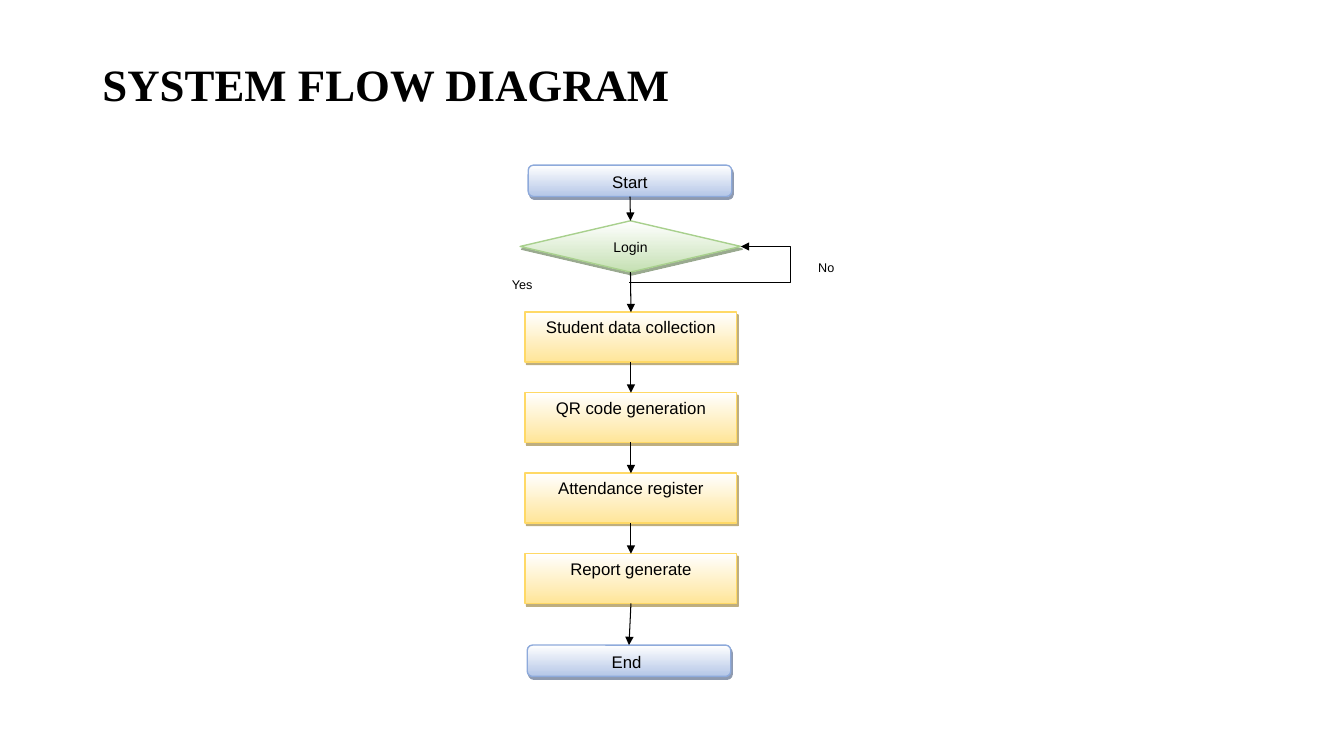
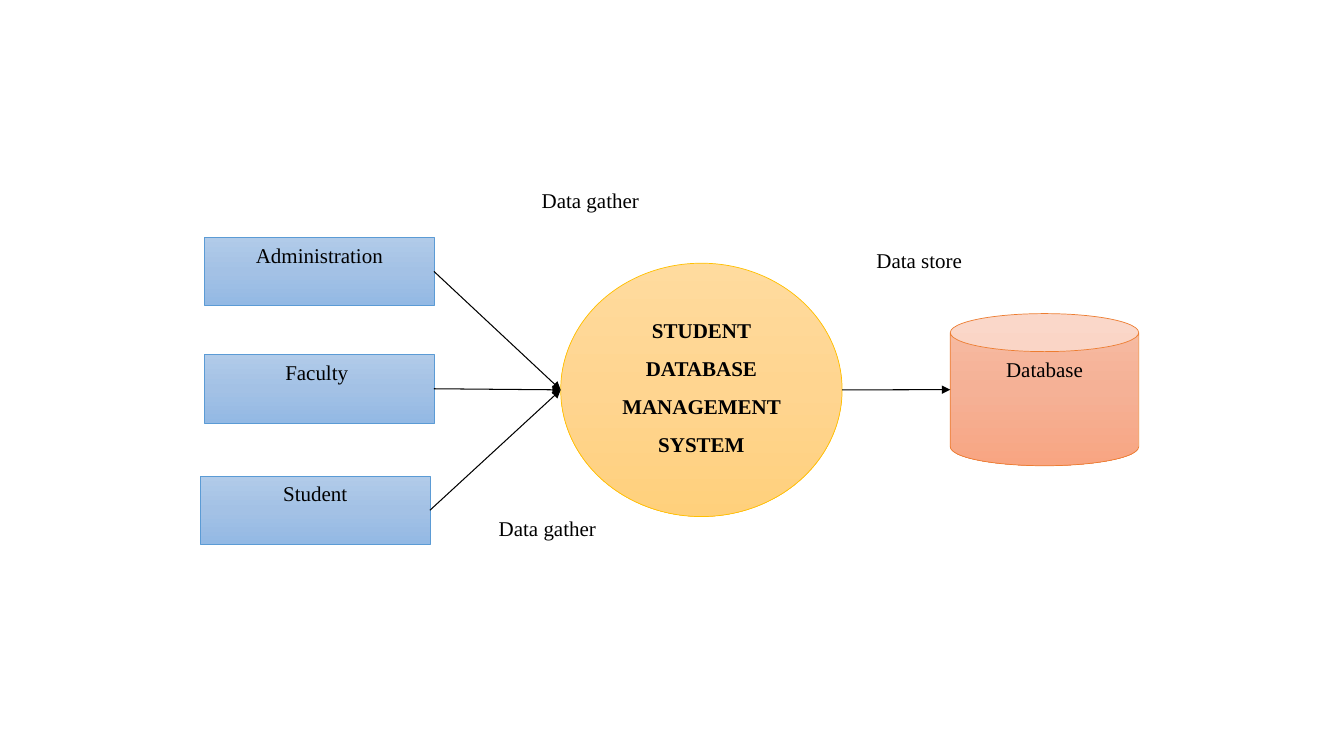
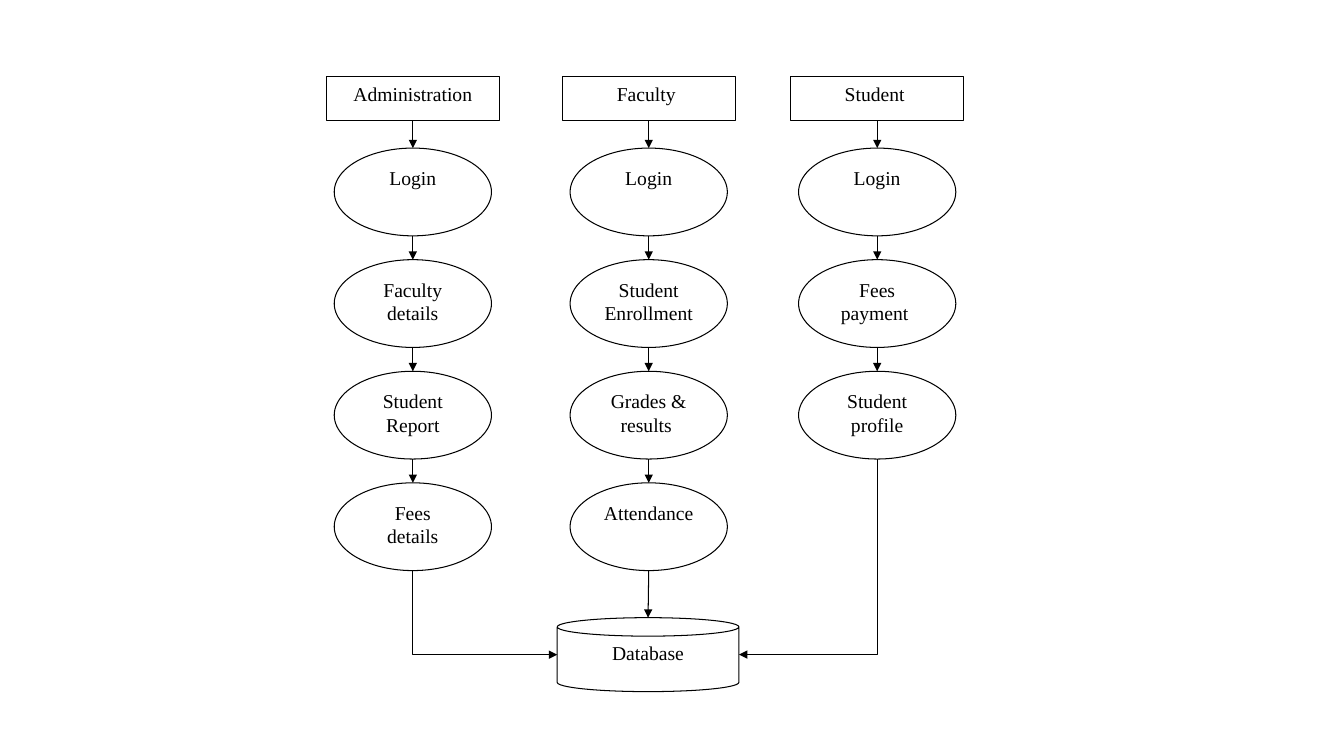
from copy import deepcopy
from dataclasses import dataclass

from lxml import etree
from pptx import Presentation
from pptx.dml.color import RGBColor
from pptx.enum.shapes import MSO_CONNECTOR, MSO_SHAPE
from pptx.enum.text import MSO_ANCHOR, PP_ALIGN
from pptx.oxml.ns import qn
from pptx.shapes.connector import Connector
from pptx.slide import Slide
from pptx.util import Pt

RECT, ROUNDED = MSO_SHAPE.RECTANGLE, MSO_SHAPE.ROUNDED_RECTANGLE
DIAMOND, OVAL, CAN = MSO_SHAPE.DIAMOND, MSO_SHAPE.OVAL, MSO_SHAPE.CAN
STRAIGHT, ELBOW = MSO_CONNECTOR.STRAIGHT, MSO_CONNECTOR.ELBOW
LEFT, CENTER = PP_ALIGN.LEFT, PP_ALIGN.CENTER
TOP, MIDDLE = MSO_ANCHOR.TOP, MSO_ANCHOR.MIDDLE

SANS, SERIF = "Arial", "Times New Roman"
TITLE_ONLY, BLANK = 5, 6

BLACK = RGBColor(0x00, 0x00, 0x00)
WHITE = RGBColor(0xFF, 0xFF, 0xFF)
BLUE_PALE = RGBColor(0xB4, 0xC6, 0xE7)
BLUE_EDGE = RGBColor(0x8E, 0xAA, 0xDB)
BLUE_DARK = RGBColor(0x1F, 0x37, 0x63)
GREEN_PALE = RGBColor(0xC5, 0xE0, 0xB3)
GREEN_EDGE = RGBColor(0xA8, 0xD0, 0x8D)
GREEN_DARK = RGBColor(0x37, 0x56, 0x23)
GOLD_PALE = RGBColor(0xFF, 0xE5, 0x99)
GOLD_EDGE = RGBColor(0xFF, 0xD9, 0x66)
GOLD_DARK = RGBColor(0x7F, 0x5F, 0x00)
SKY_EDGE = RGBColor(0x5B, 0x9B, 0xD5)
AMBER_EDGE = RGBColor(0xFF, 0xC0, 0x00)
CORAL_EDGE = RGBColor(0xED, 0x7D, 0x31)
SKY = (RGBColor(0xB1, 0xCB, 0xE9), RGBColor(0xA3, 0xC1, 0xE5), RGBColor(0x93, 0xB9, 0xE4))
AMBER = (RGBColor(0xFF, 0xDB, 0x9E), RGBColor(0xFF, 0xD5, 0x90), RGBColor(0xFF, 0xD0, 0x7C))
CORAL = (RGBColor(0xF7, 0xBD, 0xA5), RGBColor(0xF5, 0xB1, 0x96), RGBColor(0xF8, 0xA5, 0x82))


@dataclass(frozen=True)
class Style:
    shape: MSO_SHAPE
    fill: tuple[RGBColor, ...]
    edge: RGBColor
    edge_width: float
    font: str
    size: float
    shadow: RGBColor | None = None
    align: PP_ALIGN = CENTER
    bold: bool = False
    line_spacing: float = 1.0


@dataclass(frozen=True)
class Node:
    text: str
    left: float
    top: float
    width: float
    height: float
    style: Style

    @property
    def cx(self) -> float:
        return self.left + self.width / 2

    @property
    def cy(self) -> float:
        return self.top + self.height / 2

    @property
    def right(self) -> float:
        return self.left + self.width

    @property
    def bottom(self) -> float:
        return self.top + self.height


TERMINAL = Style(ROUNDED, (WHITE, BLUE_PALE), BLUE_EDGE, 1, SANS, 12, BLUE_DARK)
DECISION = Style(DIAMOND, (WHITE, GREEN_PALE), GREEN_EDGE, 1, SANS, 10, GREEN_DARK)
STEP = Style(RECT, (WHITE, GOLD_PALE), GOLD_EDGE, 1, SANS, 12, GOLD_DARK)
BRANCH = Style(RECT, (WHITE,), WHITE, 0.75, SANS, 9, align=LEFT)
ACTOR = Style(RECT, SKY, SKY_EDGE, 0.5, SERIF, 15)
SYSTEM = Style(OVAL, AMBER, AMBER_EDGE, 0.5, SERIF, 15, bold=True, line_spacing=1.5)
STORE = Style(CAN, CORAL, CORAL_EDGE, 0.5, SERIF, 15)
FLOW_LABEL = Style(RECT, (WHITE,), WHITE, 0.75, SERIF, 15)
ROLE = Style(RECT, (WHITE,), BLACK, 0.75, SERIF, 14)
ACTION = Style(OVAL, (WHITE,), BLACK, 0.75, SERIF, 14)
PLAIN_STORE = Style(CAN, (WHITE,), BLACK, 0.75, SERIF, 14)


def paint(s, colors: tuple[RGBColor, ...]) -> None:
    """Fill solid for one colour, else with an even top-to-bottom gradient."""
    if len(colors) == 1:
        s.fill.solid()
        s.fill.fore_color.rgb = colors[0]
        return
    s.fill.gradient()
    s.fill.gradient_angle = 270
    stops = s._element.spPr.find(".//" + qn("a:gsLst"))
    for _ in colors[2:]:
        stops.insert(1, deepcopy(stops[0]))
    for i, (stop, color) in enumerate(zip(s.fill.gradient_stops, colors)):
        stop.color.rgb = color
        stop.position = i / (len(colors) - 1)


def cast_shadow(s, color: RGBColor) -> None:
    effects = s._element.spPr.find(qn("a:effectLst"))
    shadow = etree.SubElement(effects, qn("a:outerShdw"), dist=str(Pt(2.2)),
                              dir=str(63 * 60000), algn="ctr", rotWithShape="0")
    rgb = etree.SubElement(shadow, qn("a:srgbClr"), val=str(color))
    etree.SubElement(rgb, qn("a:alpha"), val="50000")


def draw_node(slide: Slide, node: Node) -> None:
    style = node.style
    s = slide.shapes.add_shape(style.shape, Pt(node.left), Pt(node.top),
                               Pt(node.width), Pt(node.height))
    s.shadow.inherit = False
    if style.shadow is not None:
        cast_shadow(s, style.shadow)
    paint(s, style.fill)
    s.line.color.rgb = style.edge
    s.line.width = Pt(style.edge_width)
    tf = s.text_frame
    tf.word_wrap = True
    tf.vertical_anchor = TOP
    p = tf.paragraphs[0]
    p.text = node.text
    p.alignment = style.align
    p.line_spacing = style.line_spacing
    p.font.name = style.font
    p.font.size = Pt(style.size)
    p.font.bold = style.bold
    p.font.color.rgb = BLACK


def draw_arrow(slide: Slide, x1: float, y1: float, x2: float, y2: float,
               kind: MSO_CONNECTOR = STRAIGHT) -> Connector:
    c = slide.shapes.add_connector(kind, Pt(x1), Pt(y1), Pt(x2), Pt(y2))
    c.line.color.rgb = BLACK
    c.line.width = Pt(0.75)
    sp_pr = c._element.spPr
    etree.SubElement(sp_pr.find(qn("a:ln")), qn("a:tailEnd"), type="triangle")
    etree.SubElement(sp_pr, qn("a:effectLst"))
    return c


def draw_loop_arrow(slide: Slide, x1: float, y1: float, x2: float, y2: float,
                    turn_x: float) -> None:
    """Arrow that runs across to turn_x, beyond its end, and comes back."""
    c = draw_arrow(slide, x1, y1, x2, y2, ELBOW)
    guides = c._element.spPr.find(qn("a:prstGeom")).find(qn("a:avLst"))
    ratio = round((turn_x - x1) / (x2 - x1) * 100000)
    etree.SubElement(guides, qn("a:gd"), name="adj1", fmla=f"val {ratio}")


def draw_corner_arrow(slide: Slide, x1: float, y1: float, x2: float, y2: float) -> None:
    """Arrow that goes down and then across: a one-bend connector, rotated."""
    cx, cy = (x1 + x2) / 2, (y1 + y2) / 2
    half_w, half_h = (y2 - y1) / 2, abs(x2 - x1) / 2
    to_right = x2 > x1
    if to_right:
        half_w = -half_w
    c = draw_arrow(slide, cx - half_w, cy - half_h, cx + half_w, cy + half_h, ELBOW)
    sp_pr = c._element.spPr
    sp_pr.find(qn("a:prstGeom")).set("prst", "bentConnector2")
    sp_pr.find(qn("a:xfrm")).set("rot", str((270 if to_right else 90) * 60000))


def draw_chain(slide: Slide, nodes: list[Node]) -> None:
    """Draw the nodes, each with an arrow down to the next."""
    for node in nodes:
        draw_node(slide, node)
    for a, b in zip(nodes, nodes[1:]):
        draw_arrow(slide, a.cx, a.bottom, b.cx, b.top)


def set_title(slide: Slide, text: str) -> None:
    s = slide.shapes.title
    s.left, s.top, s.width, s.height = Pt(66), Pt(28.8), Pt(828), Pt(67)
    tf = s.text_frame
    tf.vertical_anchor = MIDDLE
    p = tf.paragraphs[0]
    p.text = text
    p.alignment = LEFT
    p.line_spacing = 0.9
    p.font.name = SERIF
    p.font.size = Pt(32)
    p.font.bold = True
    p.font.color.rgb = BLACK


def build_system_flow(prs: Presentation) -> None:
    slide = prs.slides.add_slide(prs.slide_layouts[TITLE_ONLY])
    set_title(slide, "SYSTEM FLOW DIAGRAM")
    login = Node("Login", 371.5, 157.7, 157.7, 36.7, DECISION)
    step_names = ["Student data collection", "QR code generation",
                  "Attendance register", "Report generate"]
    steps = [Node(name, 375.1, 223 + 57.5 * i, 151.2, 35.5, STEP)
             for i, name in enumerate(step_names)]
    draw_chain(slide, [
        Node("Start", 377.3, 118, 145.4, 22.4, TERMINAL),
        login,
        *steps,
        Node("End ", 376.6, 460.8, 145.4, 22.4, TERMINAL),
    ])
    draw_loop_arrow(slide, 449.3, 201.6, login.right, login.cy, 564.5)
    draw_node(slide, Node("Yes", 358.6, 194.4, 57.6, 19.4, BRANCH))
    draw_node(slide, Node("No", 577.4, 182.2, 57.6, 19.4, BRANCH))


def build_data_flow(prs: Presentation) -> None:
    slide = prs.slides.add_slide(prs.slide_layouts[BLANK])
    actors = [Node(name, left, top, 163.8, 49, ACTOR) for name, left, top in [
        ("Administration", 146.2, 169.4), ("Faculty ", 146.2, 253.2),
        ("Student", 143.3, 340)]]
    system = Node("STUDENT DATABASE MANAGEMENT SYSTEM", 400.5, 188, 201, 181, SYSTEM)
    store = Node("Database", 678.8, 224, 134.6, 108.7, STORE)
    labels = [
        Node("Data gather", 351.2, 130.2, 141, 49, FLOW_LABEL),
        Node("Data gather", 326.2, 364.4, 129.6, 49, FLOW_LABEL),
        Node("Data store ", 594, 173.4, 129, 45.4, FLOW_LABEL),
    ]
    for node in [*actors, system, store, *labels]:
        draw_node(slide, node)
    for actor in actors:
        draw_arrow(slide, actor.right, actor.cy, system.left, system.cy)
    draw_arrow(slide, system.right, system.cy, store.left, store.cy)


def build_role_flow(prs: Presentation) -> None:
    slide = prs.slides.add_slide(prs.slide_layouts[BLANK])
    role_w, action_w = 123.4, 112.3
    columns = [
        (294.9, "Administration", ["Login", "Faculty details", "Student Report", "Fees details"]),
        (463.4, "Faculty ", ["Login", "Student Enrollment", "Grades & results ", "Attendance"]),
        (626.6, "Student ", ["Login", "Fees payment ", "Student profile"]),
    ]
    last_actions = []
    for cx, role, actions in columns:
        nodes = [Node(role, cx - role_w / 2, 54.7, role_w, 31.7, ROLE)]
        nodes += [Node(action, cx - action_w / 2, 105.8 + 79.7 * i, action_w, 62.7, ACTION)
                  for i, action in enumerate(actions)]
        draw_chain(slide, nodes)
        last_actions.append(nodes[-1])
    store = Node("Database", 398, 441.2, 129.8, 52.8, PLAIN_STORE)
    draw_node(slide, store)
    admin, faculty, student = last_actions
    draw_corner_arrow(slide, admin.cx, admin.bottom, store.left, store.cy)
    draw_corner_arrow(slide, student.cx, student.bottom, store.right, store.cy)
    draw_arrow(slide, faculty.cx, faculty.bottom, store.cx, store.top)


def main() -> None:
    prs = Presentation()
    prs.slide_width, prs.slide_height = Pt(960), Pt(540)
    build_system_flow(prs)
    build_data_flow(prs)
    build_role_flow(prs)
    prs.save("out.pptx")


if __name__ == "__main__":
    main()
